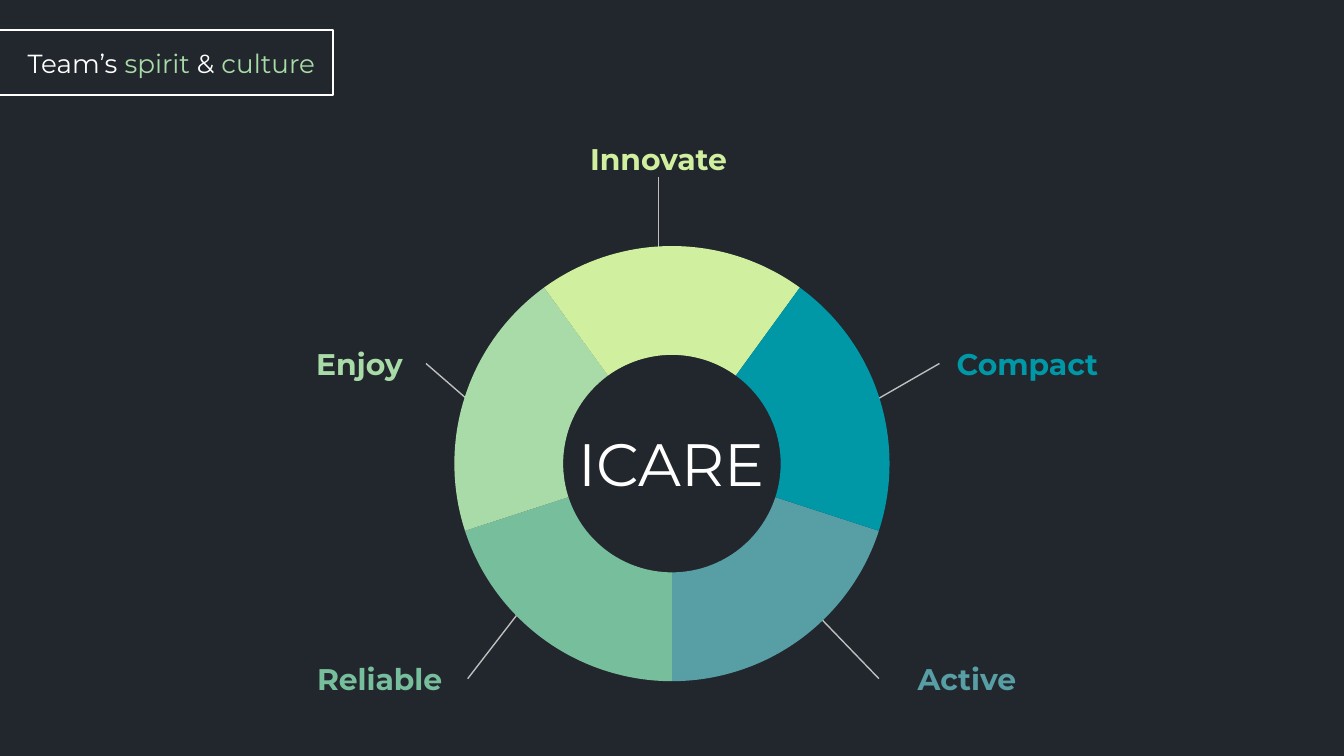
from lxml import etree
from pptx import Presentation
from pptx import util as u
from pptx.chart.data import CategoryChartData
from pptx.dml.color import RGBColor
from pptx.enum import chart as chart_enum, shapes, text
from pptx.oxml import parse_xml
from pptx.oxml.ns import nsdecls, qn

CELL = u.Inches(0.1)  # the slide is a grid of 100 columns by 56.25 rows
COLUMNS, ROWS = 100, 56.25

NIGHT = RGBColor(0x22, 0x26, 0x2D)
WHITE = RGBColor(0xFF, 0xFF, 0xFF)
BLACK = RGBColor(0, 0, 0)
GREY = RGBColor(0xBF, 0xBF, 0xBF)
LIME = RGBColor(0xD0, 0xF0, 0x9F)
MINT = RGBColor(0xA8, 0xDB, 0xA7)
JADE = RGBColor(0x77, 0xBE, 0x9C)
STEEL = RGBColor(0x58, 0x9E, 0xA5)
TEAL = RGBColor(0x00, 0x97, 0xA7)

BOTTOM, LEFT, RIGHT = 2, 1, 3

# Word, colour, label (column, row, width), label side, ring end of the leader;
# in the clockwise order of the ring segments.
VALUES = [
    ("Active", STEEL, (65.4, 49.15, 13.1), LEFT, (59.9, 44.8)),
    ("Reliable", JADE, (21.7, 49.15, 13.1), RIGHT, (39.2, 44.8)),
    ("Enjoy", MINT, (21.8, 25.7, 9.9), RIGHT, (36.6, 31.3)),
    ("Innovate", LIME, (42.45, 10.45, 13.1), BOTTOM, (49, 20)),
    ("Compact", TEAL, (69.9, 25.7, 13.1), LEFT, (62.5, 31.3)),
]


def grid(*cells):
    return [round(cell * CELL) for cell in cells]


def set_format(target, values):
    for name, value in values.items():
        setattr(target, name, value)


def write(box, runs, size, bold=False, anchor=text.MSO_ANCHOR.MIDDLE):
    """Fill a box with one centred line of (words, colour) runs."""
    frame = box.text_frame
    set_format(frame, {
        "word_wrap": True,
        "auto_size": text.MSO_AUTO_SIZE.NONE,
        "vertical_anchor": anchor,
        **{f"margin_{side}": CELL for side in ("left", "top", "right", "bottom")},
    })
    line = frame.paragraphs[0]
    line.alignment = text.PP_ALIGN.CENTER
    for words, colour in runs:
        run = line.add_run()
        run.text = words
        set_format(run.font, {"name": "Montserrat", "size": u.Pt(size), "bold": bold})
        run.font.color.rgb = colour


def add_heading(slide):
    frame = slide.shapes.add_shape(
        shapes.MSO_SHAPE.RECTANGLE, *grid(-0.7, 2.2, 25.5, 4.9))
    frame.shadow.inherit = False
    frame.fill.background()
    frame.line.color.rgb = WHITE
    frame.line.width = u.Pt(1)

    heading = slide.shapes.title
    left, top, width, height = grid(0, 3.3, 25.5, 2.8)
    set_format(heading, {"left": left, "top": top, "width": width, "height": height})
    write(heading, [("Team’s ", WHITE), ("spirit", MINT),
                    (" & ", WHITE), ("culture", MINT)], 14)


def add_label(slide, word, colour, place):
    label = slide.shapes.add_textbox(*grid(*place, 2.7))
    write(label, [(word, colour)], 16, bold=True)
    return label


def add_leader(slide, label, side, ring_end):
    end = grid(*ring_end)
    leader = slide.shapes.add_connector(shapes.MSO_CONNECTOR.STRAIGHT, *end, *end)
    leader.begin_connect(label, side)
    leader.line.color.rgb = GREY
    leader.line.width = u.Pt(0.75)
    etree.SubElement(leader._element.spPr, qn("a:effectLst"))


def add_ring(slide):
    data = CategoryChartData()
    data.categories = [str(number + 1) for number in range(len(VALUES))]
    data.add_series("Series 1", [100 // len(VALUES)] * len(VALUES))
    ring = slide.shapes.add_chart(
        chart_enum.XL_CHART_TYPE.DOUGHNUT, *grid(23.55, 16.9, 52.9, 35.2), data).chart
    set_format(ring, {"has_legend": False, "has_title": False})
    set_format(ring.font, {"name": "Arial", "size": u.Pt(10)})
    ring.font.color.rgb = BLACK

    plot = ring.plots[0]
    plot.vary_by_categories = True
    for index, (_, colour, *_rest) in enumerate(VALUES):
        segment = plot.series[0].points[index].format
        segment.fill.solid()
        segment.fill.fore_color.rgb = colour
        segment.line.fill.background()
    turn_ring(ring, start=108, hole=68)


def turn_ring(ring, start, hole):
    """Set the first angle, the hole size and the place of the plot."""
    area = ring._chartSpace.chart.plotArea
    for tag, value in (("c:firstSliceAng", start), ("c:holeSize", hole)):
        area.find(".//" + qn(tag)).set("val", str(value))
    for old in area.findall(qn("c:layout")):
        area.remove(old)
    shares = {"x": 0.19, "y": 0.04, "w": 0.62, "h": 0.92}
    places = "".join(f'<c:{key} val="{share}"/>' for key, share in shares.items())
    area.insert(0, parse_xml(
        f'<c:layout {nsdecls("c")}><c:manualLayout><c:layoutTarget val="inner"/>'
        f'<c:xMode val="edge"/><c:yMode val="edge"/>{places}'
        '</c:manualLayout></c:layout>'))


def main():
    deck = Presentation()
    deck.slide_width, deck.slide_height = grid(COLUMNS, ROWS)
    slide = deck.slides.add_slide(deck.slide_layouts[5])
    slide.background.fill.solid()
    slide.background.fill.fore_color.rgb = NIGHT

    add_heading(slide)
    for word, colour, place, side, ring_end in VALUES:
        label = add_label(slide, word, colour, place)
        add_leader(slide, label, side, ring_end)
    acronym = slide.shapes.add_textbox(*grid(41.8, 30.9, 16.4, 7.2))
    write(acronym, [("ICARE", WHITE)], 32, anchor=text.MSO_ANCHOR.BOTTOM)
    add_ring(slide)
    deck.save("out.pptx")


if __name__ == "__main__":
    main()
